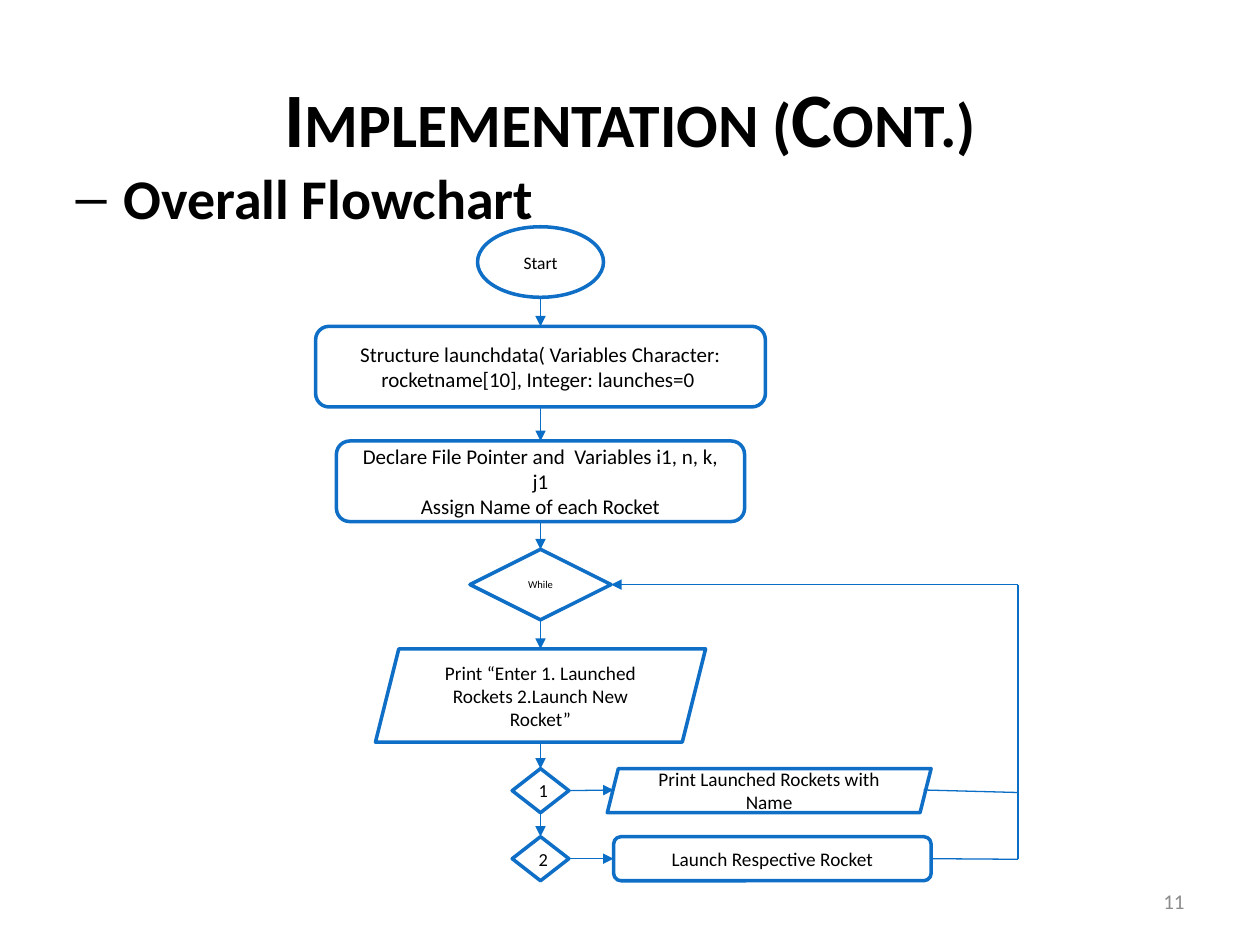
from lxml import etree
from pptx import Presentation
from pptx import util as u
from pptx.dml.color import RGBColor
from pptx.enum import shapes, text
from pptx.oxml.ns import qn

FONT = "Calibri"
BLACK, WHITE, GREY = "000000", "FFFFFF", "8C8C8C"
OUTLINE, ARROW = "0F6FC6", "0A6DC6"
TOP, LEFT, BOTTOM, RIGHT = range(4)
AXIS = 4.29  # centre of the main flow
RETURN_X = 8.08  # vertical line of the loop back to While
SHAPE = shapes.MSO_SHAPE


def colour(value):
    return RGBColor.from_string(value)


def place(shape, left, top, width, height):
    shape.left, shape.top = u.Inches(left), u.Inches(top)
    shape.width, shape.height = u.Inches(width), u.Inches(height)


def write(shape, words, size, align, ink=BLACK, bold=False):
    frame = shape.text_frame
    frame.text = words
    frame.word_wrap = True
    for para in frame.paragraphs:
        para.alignment = align
        for span in para.runs:
            span.font.name = FONT
            span.font.size = u.Pt(size)
            span.font.bold = bold
            span.font.color.rgb = colour(ink)
    return frame


def add_title(page, words):
    title = page.shapes.title
    place(title, 0.5, 0.3, 9, 1.25)
    frame = write(title, words, 44, text.PP_ALIGN.CENTER, bold=True)
    frame.vertical_anchor = text.MSO_ANCHOR.MIDDLE
    frame.paragraphs[0].runs[0].font._element.set("cap", "small")


def add_dash_item(page, words):
    body = page.placeholders[1]
    place(body, 0.5, 1.25, 9, 5.45)
    para = write(body, words, 32, text.PP_ALIGN.LEFT, bold=True).paragraphs[0]
    para.level = 1
    properties = para._p.get_or_add_pPr()
    properties.set("marL", str(u.Inches(0.38)))
    properties.set("indent", str(u.Inches(-0.38)))
    etree.SubElement(properties, qn("a:buChar")).set("char", "–")


def add_page_number(page, number):
    box = page.shapes.add_textbox(0, 0, 0, 0)
    place(box, 7.17, 6.95, 2.33, 0.4)
    frame = write(box, number, 12, text.PP_ALIGN.RIGHT, GREY)
    frame.vertical_anchor = text.MSO_ANCHOR.MIDDLE


def add_step(page, kind, left, top, width, height, words, size):
    step = page.shapes.add_shape(kind, 0, 0, 0, 0)
    place(step, left, top, width, height)
    step.shadow.inherit = False
    step.fill.solid()
    step.fill.fore_color.rgb = colour(WHITE)
    step.line.color.rgb = colour(OUTLINE)
    step.line.width = u.Pt(2)
    frame = write(step, words, size, text.PP_ALIGN.CENTER)
    frame.vertical_anchor = text.MSO_ANCHOR.MIDDLE
    return step


def add_main_step(page, kind, top, width, height, words, size):
    """Add a step centred on the main flow."""
    return add_step(page, kind, AXIS - width / 2, top, width, height, words, size)


def add_line(page, start, end, begin=None, finish=None, arrow=True):
    """Draw a line; begin and finish are optional (shape, side) joins."""
    line = page.shapes.add_connector(
        shapes.MSO_CONNECTOR.STRAIGHT, *map(u.Inches, start + end))
    if begin:
        line.begin_connect(*begin)
    if finish:
        line.end_connect(*finish)
    line.line.color.rgb = colour(ARROW)
    line.line.width = u.Pt(0.75)
    if arrow:
        tail = etree.SubElement(line.line._get_or_add_ln(), qn("a:tailEnd"))
        tail.set("type", "triangle")
    etree.SubElement(line._element.spPr, qn("a:effectLst"))


def add_flowchart(page):
    start = add_main_step(page, SHAPE.OVAL, 1.8, 1, 0.56, "Start", 10)
    structure = add_main_step(
        page, SHAPE.ROUNDED_RECTANGLE, 2.59, 3.57, 0.64,
        "Structure launchdata( Variables Character: "
        "rocketname[10], Integer: launches=0 ", 12)
    declare = add_main_step(
        page, SHAPE.ROUNDED_RECTANGLE, 3.5, 3.24, 0.64,
        "Declare File Pointer and  Variables i1, n, k, j1\n"
        "Assign Name of each Rocket", 12)
    loop = add_main_step(page, SHAPE.DIAMOND, 4.36, 1.12, 0.56, "While", 6)
    menu = add_main_step(
        page, SHAPE.PARALLELOGRAM, 5.15, 2.62, 0.74,
        "Print “Enter 1. Launched Rockets 2.Launch New Rocket”", 11)
    first, second = [
        add_main_step(page, SHAPE.DIAMOND, top, 0.45, 0.35, words, 10.5)
        for top, words in ((6.1, "1"), (6.64, "2"))]
    add_step(page, SHAPE.PARALLELOGRAM, 4.82, 6.1, 2.57, 0.35,
             "Print Launched Rockets with Name", 11)
    launch = add_step(page, SHAPE.ROUNDED_RECTANGLE, 4.87, 6.64, 2.52, 0.35,
                      "Launch Respective Rocket", 11)

    # Ovals and parallelograms number their sides differently, so stay unjoined
    four_sided = (structure, declare, loop, first, second)
    flow = (start, structure, declare, loop, menu, first, second)
    for upper, lower in zip(flow, flow[1:]):
        add_line(page, (AXIS, (upper.top + upper.height).inches
                        if hasattr(upper.top + upper.height, "inches")
                        else (upper.top + upper.height) / u.Inches(1)),
                 (AXIS, lower.top.inches),
                 (upper, BOTTOM) if upper in four_sided else None,
                 (lower, TOP) if lower in four_sided else None)

    add_line(page, (4.51, 6.27), (4.87, 6.27), begin=(first, RIGHT))
    add_line(page, (4.51, 6.82), (4.87, 6.82), (second, RIGHT), (launch, LEFT))
    add_line(page, (7.33, 6.27), (RETURN_X, 6.29), arrow=False)
    add_line(page, (7.39, 6.82), (RETURN_X, 6.82), (launch, RIGHT), arrow=False)
    add_line(page, (RETURN_X, 6.82), (RETURN_X, 4.64), arrow=False)
    add_line(page, (RETURN_X, 4.64), (4.85, 4.64), finish=(loop, RIGHT))


def main():
    deck = Presentation()
    deck.slide_width, deck.slide_height = u.Inches(10), u.Inches(7.5)
    page = deck.slides.add_slide(deck.slide_layouts[1])
    add_title(page, "Implementation (Cont.)")
    add_dash_item(page, "Overall Flowchart")
    add_page_number(page, "11")
    add_flowchart(page)
    deck.save("out.pptx")


if __name__ == "__main__":
    main()
